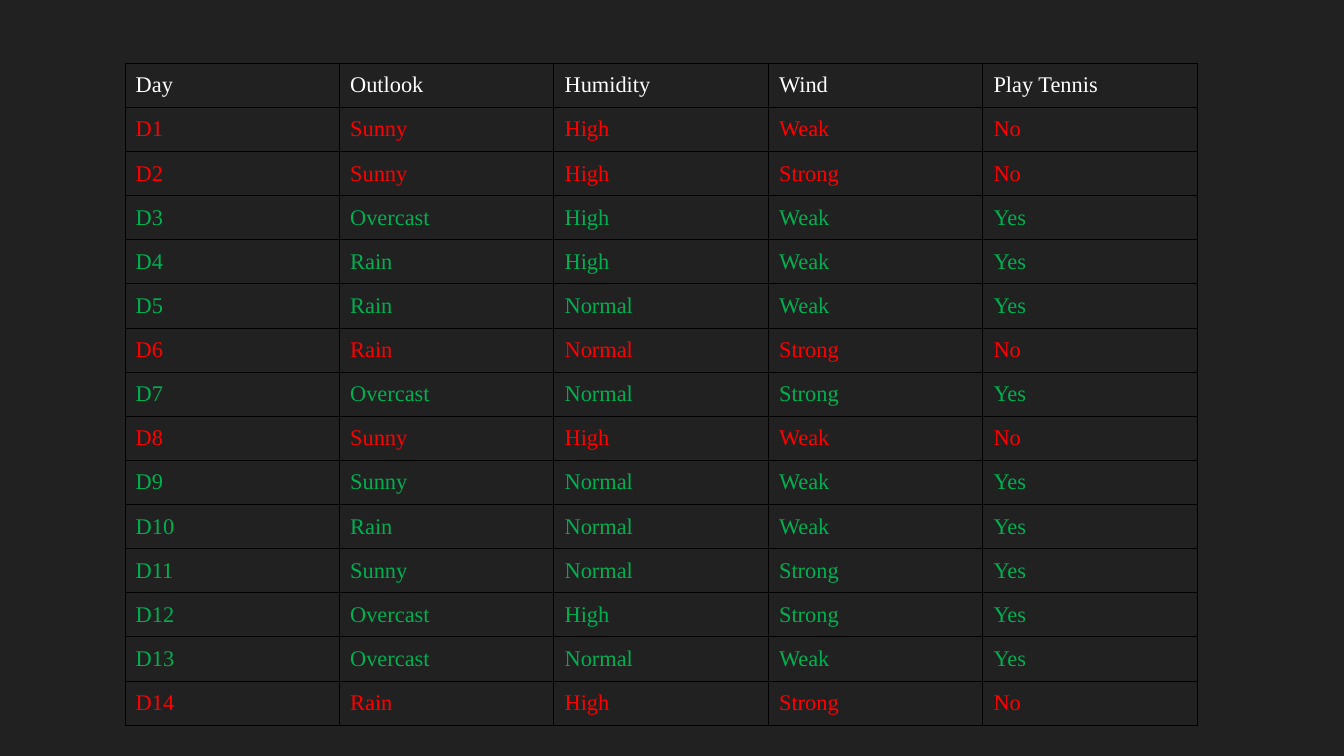
from lxml import etree
from pptx import Presentation
from pptx.dml.color import RGBColor
from pptx.enum.text import MSO_ANCHOR
from pptx.oxml.ns import qn
from pptx.util import Inches, Pt

MIDDLE = MSO_ANCHOR.MIDDLE
DARK = RGBColor(0x21, 0x21, 0x21)
BLACK = RGBColor(0, 0, 0)
WHITE = RGBColor(0xFF, 0xFF, 0xFF)
RED = RGBColor(0xFF, 0, 0)
GREEN = RGBColor(0, 0xB0, 0x50)
FONT = "Times New Roman"
WIDE = Inches(10)
HIGH = WIDE * 9 // 16
HEAD = ("Day", "Outlook", "Humidity", "Wind", "Play Tennis")
DAYS = (
    ("Sunny", "High", "Weak", "No"),
    ("Sunny", "High", "Strong", "No"),
    ("Overcast", "High", "Weak", "Yes"),
    ("Rain", "High", "Weak", "Yes"),
    ("Rain", "Normal", "Weak", "Yes"),
    ("Rain", "Normal", "Strong", "No"),
    ("Overcast", "Normal", "Strong", "Yes"),
    ("Sunny", "High", "Weak", "No"),
    ("Sunny", "Normal", "Weak", "Yes"),
    ("Rain", "Normal", "Weak", "Yes"),
    ("Sunny", "Normal", "Strong", "Yes"),
    ("Overcast", "High", "Strong", "Yes"),
    ("Overcast", "Normal", "Weak", "Yes"),
    ("Rain", "High", "Strong", "No"),
)
TONES = {"Yes": GREEN, "No": RED}


def write(frame, text, font=FONT, size=12, color=WHITE):
    """Put one formatted run of text into a text frame."""
    run = frame.paragraphs[0].add_run()
    run.text = text
    run.font.name = font
    run.font.size = Pt(size)
    run.font.color.rgb = color


def border(cell, color=BLACK, width=0.5):
    """Draw a thin line on all four sides of a cell."""
    props = cell._tc.get_or_add_tcPr()
    for side in ("a:lnL", "a:lnR", "a:lnT", "a:lnB"):
        line = etree.SubElement(props, qn(side), w=str(Pt(width)))
        fill = etree.SubElement(line, qn("a:solidFill"))
        etree.SubElement(fill, qn("a:srgbClr"), val=str(color))


def style(cell):
    """Set the border, fill and margins of a cell."""
    border(cell)
    cell.fill.background()
    cell.vertical_anchor = MIDDLE
    cell.margin_left = cell.margin_right = Inches(0.08)
    cell.margin_top = cell.margin_bottom = Inches(0.04)


def grid(slide, rows, left, top, width, height):
    """Fill the given box with a table coloured by each row's outcome."""
    shape = slide.shapes.add_table(len(rows), len(rows[0]), left, top, width, height)
    table = shape.table
    table.first_row = table.horz_banding = False
    for r, row in enumerate(rows):
        tone = TONES.get(row[-1], WHITE)
        for c, text in enumerate(row):
            cell = table.cell(r, c)
            style(cell)
            write(cell.text_frame, text, color=tone)


def main():
    """Build the slide and save it."""
    deck = Presentation()
    deck.slide_width, deck.slide_height = WIDE, HIGH
    slide = deck.slides.add_slide(deck.slide_layouts[6])
    back = slide.background.fill
    back.solid()
    back.fore_color.rgb = DARK
    rows = [HEAD] + [(f"D{n}", *day) for n, day in enumerate(DAYS, 1)]
    grid(slide, rows, Inches(0.93), Inches(0.47), Inches(7.98), Inches(4.93))
    deck.save("out.pptx")


if __name__ == "__main__":
    main()
